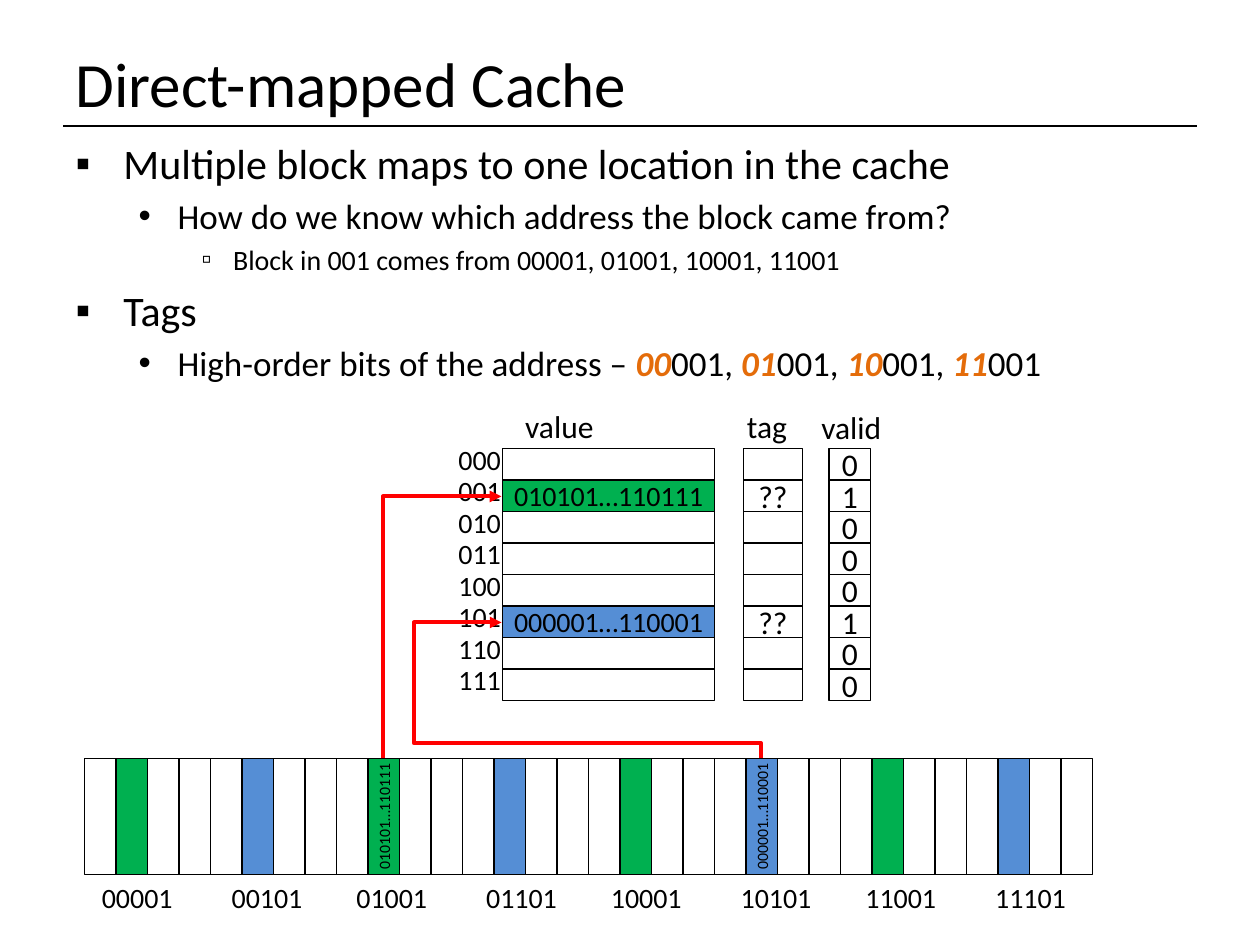
from dataclasses import dataclass

from pptx import Presentation
from pptx import util as u
from pptx.dml.color import RGBColor
from pptx.enum import shapes, text
from pptx.oxml import ns, xmlchemy

BLACK = RGBColor(0x00, 0x00, 0x00)
GREEN = RGBColor(0x00, 0xB0, 0x50)
BLUE = RGBColor(0x55, 0x8E, 0xD5)
RED = RGBColor(0xFF, 0x00, 0x00)
ORANGE = RGBColor(0xE4, 0x6C, 0x0A)
FONT = "Calibri"
ROW = 0.25
CACHE_TOP = 3.56
MEMORY_LEFT, MEMORY_TOP, MEMORY_HEIGHT = 0.67, 6.02, 0.92
BLOCKS = {1: "010101…110111", 5: "000001…110001"}
FILLS = {1: GREEN, 5: BLUE}


@dataclass(frozen=True)
class Level:
    margin: float
    hanging: float
    bullet: str
    size: int


@dataclass(frozen=True)
class Point:
    level: int
    runs: tuple[str, ...]


@dataclass(frozen=True)
class CacheColumn:
    left: float
    width: float
    size: int
    entries: tuple[str, ...]
    fills: dict[int, RGBColor]


@dataclass(frozen=True)
class Label:
    wording: str
    left: float
    top: float
    width: float
    height: float
    size: int


@dataclass(frozen=True)
class Route:
    preset: str
    left: float
    top: float
    width: float
    height: float
    turn: int
    flips: tuple[str, ...]
    bends: tuple[int, ...] = ()


LEVELS = (
    Level(0.38, 0.38, "▪", 24),
    Level(0.81, 0.31, "•", 20),
    Level(1.25, 0.25, "▫", 16),
)
POINTS = (
    Point(0, ("Multiple block maps to one location in the cache",)),
    Point(1, ("How do we know which address the block came from?",)),
    Point(2, ("Block in 001 comes from 00001, 01001, 10001, 11001",)),
    Point(0, ("Tags",)),
    Point(1, ("High-order bits of the address – ", "00", "001, ", "01",
              "001, ", "10", "001, ", "11", "001")),
)
COLUMNS = (
    CacheColumn(3.99, 1.68, 16, tuple(BLOCKS.get(i, "") for i in range(8)), FILLS),
    CacheColumn(5.9, 0.47, 18, tuple("??" if i in BLOCKS else "" for i in range(8)), {}),
    CacheColumn(6.58, 0.33, 18, tuple("1" if i in BLOCKS else "0" for i in range(8)), {}),
)
HEADINGS = (
    Label("value", 4.07, 3.18, 0.75, 0.4, 18),
    Label("tag", 5.83, 3.18, 0.52, 0.4, 18),
    Label("valid", 6.42, 3.19, 0.68, 0.4, 18),
)
INDICES = tuple(
    Label(f"{i:03b}", 3.54, 3.46 + ROW * i, 0.46, 0.37, 16) for i in range(8)
)
ADDRESSES = tuple(
    Label(f"{4 * i + 1:05b}", 0.71 + 1.01 * i + 0.02 * (i % 2), 6.94, 0.69, 0.37, 16)
    for i in range(8)
)
ROUTES = (
    Route("bentConnector2", 2.47, 4.51, 2.08, 0.94, 90, ("flipH", "flipV")),
    Route("bentConnector4", 4.47, 4.45, 1.08, 2.06, 270, ("flipV",), (11200, 133800)),
)


def child(parent: xmlchemy.BaseOxmlElement, tag: str, **attributes: str) -> None:
    element = parent.makeelement(ns.qn(tag), attributes)
    parent.append(element)


def style(paragraph, size: int) -> None:
    for run in paragraph.runs:
        run.font.name = FONT
        run.font.size = u.Pt(size)
        run.font.color.rgb = BLACK


def clear_margins(frame) -> None:
    frame.margin_left = frame.margin_right = 0
    frame.margin_top = frame.margin_bottom = 0


def draw_title(title) -> None:
    title.left, title.top = u.Inches(0.5), u.Inches(0.3)
    title.width, title.height = u.Inches(9), u.Inches(0.7)
    frame = title.text_frame
    frame.text = "Direct-mapped Cache"
    frame.vertical_anchor = text.MSO_ANCHOR.MIDDLE
    frame.paragraphs[0].alignment = text.PP_ALIGN.LEFT
    style(frame.paragraphs[0], 36)


def draw_points(body) -> None:
    body.left, body.top = u.Inches(0.5), u.Inches(1.04)
    body.width, body.height = u.Inches(9), u.Inches(5.58)
    frame = body.text_frame
    frame.auto_size = text.MSO_AUTO_SIZE.NONE
    for number, point in enumerate(POINTS):
        paragraph = frame.add_paragraph() if number else frame.paragraphs[0]
        level = LEVELS[point.level]
        paragraph.level = point.level
        for wording in point.runs:
            paragraph.add_run().text = wording
        style(paragraph, level.size)
        for tag in paragraph.runs[1::2]:
            tag.font.bold = tag.font.italic = True
            tag.font.color.rgb = ORANGE
        properties = paragraph._p.get_or_add_pPr()
        properties.set("marL", str(u.Inches(level.margin)))
        properties.set("indent", str(-u.Inches(level.hanging)))
        child(properties, "a:buFont", typeface="Arial")
        child(properties, "a:buChar", char=level.bullet)


def draw_cell(slide, left: float, top: float, width: float, height: float,
              fill: RGBColor | None, wording: str, size: int, vertical: bool = False) -> None:
    cell = slide.shapes.add_shape(shapes.MSO_SHAPE.RECTANGLE, u.Inches(left),
                                  u.Inches(top), u.Inches(width), u.Inches(height))
    cell.shadow.inherit = False
    cell.line.color.rgb = BLACK
    cell.line.width = u.Pt(0.75)
    if fill is None:
        cell.fill.background()
    else:
        cell.fill.solid()
        cell.fill.fore_color.rgb = fill
    if wording:
        frame = cell.text_frame
        frame.text = wording
        frame.word_wrap = False
        frame.vertical_anchor = text.MSO_ANCHOR.MIDDLE
        clear_margins(frame)
        frame.paragraphs[0].alignment = text.PP_ALIGN.CENTER
        style(frame.paragraphs[0], size)
        if vertical:
            cell.element.txBody.bodyPr.set("vert", "vert270")


def draw_label(slide, label: Label) -> None:
    box = slide.shapes.add_textbox(u.Inches(label.left), u.Inches(label.top),
                                   u.Inches(label.width), u.Inches(label.height))
    box.text_frame.text = label.wording
    box.text_frame.word_wrap = False
    box.text_frame.margin_right = 0
    style(box.text_frame.paragraphs[0], label.size)


def draw_line(slide, kind, left: float, top: float, width: float, height: float,
              color: RGBColor, weight: float):
    line = slide.shapes.add_connector(kind, u.Inches(left), u.Inches(top),
                                      u.Inches(left + width), u.Inches(top + height))
    line.line.color.rgb = color
    line.line.width = u.Pt(weight)
    child(line.element.spPr, "a:effectLst")
    return line


def draw_route(slide, route: Route) -> None:
    arrow = draw_line(slide, shapes.MSO_CONNECTOR.ELBOW, route.left, route.top,
                      route.width, route.height, RED, 2.25)
    properties = arrow.element.spPr
    frame = properties.find(ns.qn("a:xfrm"))
    frame.set("rot", str(route.turn * 60000))
    for flip in route.flips:
        frame.set(flip, "1")
    geometry = properties.find(ns.qn("a:prstGeom"))
    geometry.set("prst", route.preset)
    adjustments = geometry.find(ns.qn("a:avLst"))
    for number, bend in enumerate(route.bends, 1):
        child(adjustments, "a:gd", name=f"adj{number}", fmla=f"val {bend}")
    child(properties.find(ns.qn("a:ln")), "a:tailEnd", type="triangle")


deck = Presentation()
deck.slide_width, deck.slide_height = u.Inches(10), u.Inches(7.5)
slide = deck.slides.add_slide(deck.slide_layouts[1])
draw_line(slide, shapes.MSO_CONNECTOR.STRAIGHT, 0.5, 1, 9, 0, BLACK, 0.75)
draw_title(slide.shapes.title)
draw_points(slide.placeholders[1])
loaded = {9: BLOCKS[1], 21: BLOCKS[5]}
for address in range(32):
    draw_cell(slide, MEMORY_LEFT + ROW * address, MEMORY_TOP, ROW, MEMORY_HEIGHT,
              FILLS.get(address % 8), loaded.get(address, ""), 9, vertical=True)
for column in COLUMNS:
    for index, entry in enumerate(column.entries):
        draw_cell(slide, column.left, CACHE_TOP + ROW * index, column.width, ROW,
                  column.fills.get(index), entry, column.size)
for label in HEADINGS + INDICES + ADDRESSES:
    draw_label(slide, label)
for route in ROUTES:
    draw_route(slide, route)
deck.save("out.pptx")
